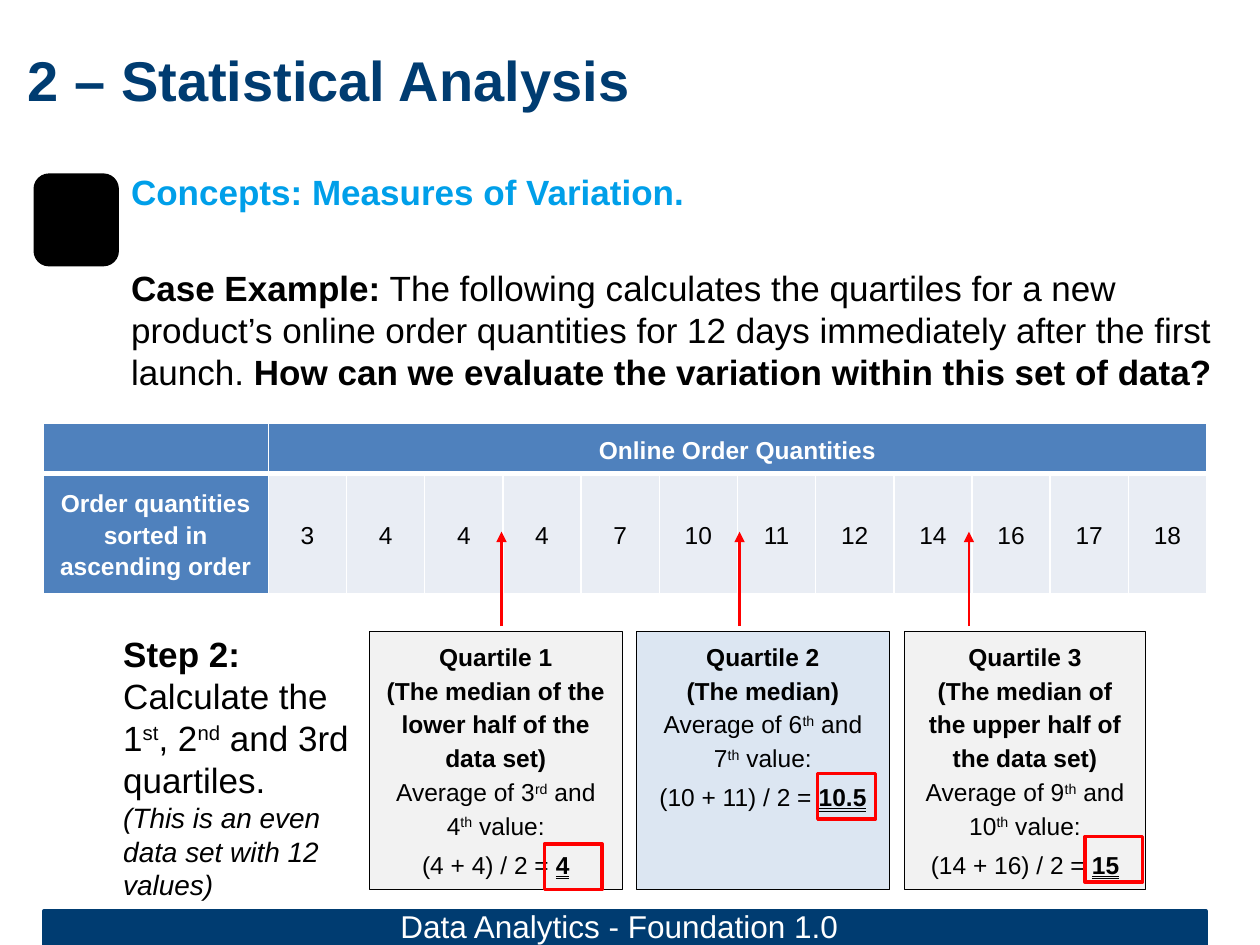
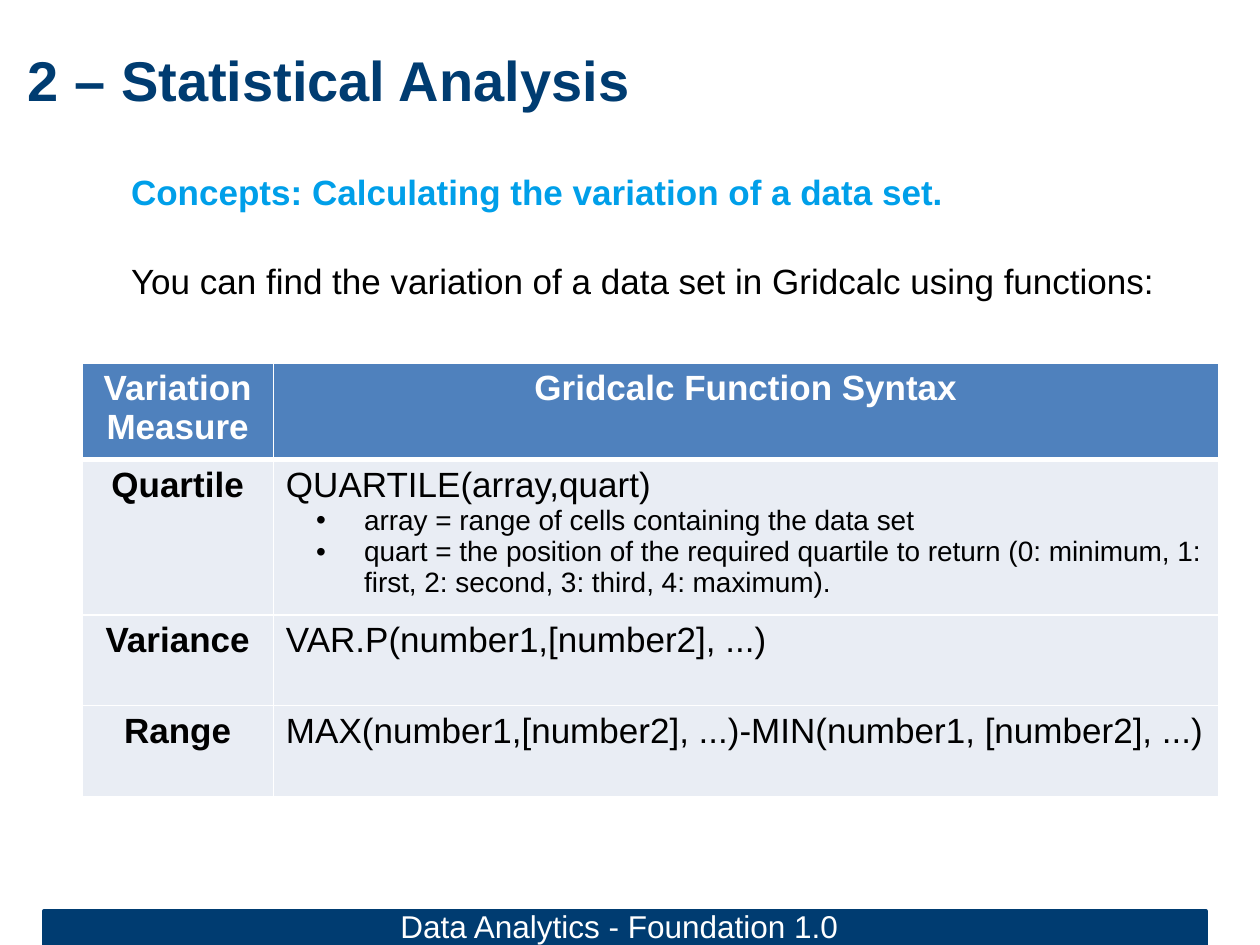
import pptx
import pptx.util
import pptx.dml.color
import pptx.enum.shapes
import pptx.enum.text
import pptx.oxml
import pptx.oxml.ns
from lxml import etree

Inches = pptx.util.Inches
Pt = pptx.util.Pt
qn = pptx.oxml.ns.qn
SHAPE = pptx.enum.shapes.MSO_SHAPE
ALIGN = pptx.enum.text.PP_ALIGN
ANCHOR = pptx.enum.text.MSO_ANCHOR
FIT = pptx.enum.text.MSO_AUTO_SIZE

# Shared look
FONT = "Arial"
NAVY, SKY, BLUE, PALE = "003C71", "009FE9", "4F81BD", "E9EDF4"
BLACK, WHITE, RED = "000000", "FFFFFF", "FF0000"


def rgb(code):
    return pptx.dml.color.RGBColor.from_string(code)


def write(par, parts, size, code=BLACK):
    """Add (text, marks) runs; marks: b bold, i italic, u double underline, ^ raised."""
    for text, marks in parts:
        run = par.add_run()
        run.text = text
        font = run.font
        font.name, font.size = FONT, Pt(size)
        font.color.rgb = rgb(code)
        font.bold, font.italic = "b" in marks, "i" in marks
        if "u" in marks:
            font.underline = pptx.enum.text.MSO_UNDERLINE.DOUBLE_LINE
        if "^" in marks:
            run._r.get_or_add_rPr().set("baseline", "30000")


deck = pptx.Presentation()
deck.slide_width, deck.slide_height = Inches(10), Inches(7.5)

# Title, body and footer of both slides: heading, text, text width, gap
pages = [
    ("Concepts: Measures of Variation.",
     [("Case Example:", "b"),
      (" The following calculates the quartiles for a new product’s online "
       "order quantities for 12 days immediately after the first launch. ", ""),
      ("How can we evaluate the variation within this set of data?", "b")],
     9.02, 31),
    ("Concepts: Calculating the variation of a data set.",
     [("You can find the variation of a data set in Gridcalc using functions:", "")],
     8.72, 27),
]
for head, parts, wide, gap in pages:
    slide = deck.slides.add_slide(deck.slide_layouts[1])

    title = slide.shapes.title
    title.left, title.top = Inches(0), Inches(0)
    title.width, title.height = Inches(9.96), Inches(1.25)
    frame = title.text_frame
    frame.auto_size = FIT.NONE
    frame.margin_left = Inches(0.22)
    frame.vertical_anchor = ANCHOR.MIDDLE
    frame.paragraphs[0].alignment = ALIGN.LEFT
    write(frame.paragraphs[0], [("2 – Statistical Analysis", "b")], 32, NAVY)

    body = slide.placeholders[1]
    body.left, body.top = Inches(0.94), Inches(1.3)
    body.width, body.height = Inches(wide), Inches(5.96)
    frame = body.text_frame
    frame.auto_size = FIT.NONE
    write(frame.paragraphs[0], [(head, "b")], 20, SKY)
    write(frame.add_paragraph(), parts, 20)
    for par, space in zip(frame.paragraphs, (0, gap)):
        par.space_before = Pt(space)
        prop = par._p.get_or_add_pPr()
        prop.set("marL", "0")
        prop.set("indent", "0")
        etree.SubElement(prop, qn("a:buNone"))

    band = slide.shapes.add_shape(SHAPE.RECTANGLE, Inches(0.35), Inches(7.23),
                                  Inches(9.22), Inches(0.27))
    band.shadow.inherit = False
    band.fill.solid()
    band.fill.fore_color.rgb = rgb(NAVY)
    band.line.color.rgb = rgb(NAVY)
    band.line.width = Pt(2)
    foot = slide.shapes.add_textbox(Inches(3.08), Inches(7.15), Inches(3.86), Inches(0.4))
    foot.text_frame.word_wrap = True
    write(foot.text_frame.paragraphs[0], [("Data Analytics - Foundation 1.0", "")], 18, WHITE)

first, second = deck.slides

# Slide 1: icon block
icon = first.shapes.add_shape(SHAPE.ROUNDED_RECTANGLE, Inches(0.28), Inches(1.39),
                              Inches(0.65), Inches(0.71))
icon.shadow.inherit = False
icon.fill.solid()
icon.fill.fore_color.rgb = rgb(BLACK)
icon.line.color.rgb = rgb(BLACK)
icon.line.width = Pt(2)

# Slide 1: step text
step = first.shapes.add_textbox(Inches(0.88), Inches(4.97), Inches(2.16), Inches(2.26))
frame = step.text_frame
frame.word_wrap = True
write(frame.paragraphs[0],
      [("Step 2: ", "b"), ("Calculate the 1", ""), ("st", "^"), (", 2", ""),
       ("nd", "^"), (" and 3rd quartiles.", "")], 20)
write(frame.add_paragraph(), [("(This is an even data set with 12 values)", "i")], 16)

# Slide 1: order table
counts = [3, 4, 4, 4, 7, 10, 11, 12, 14, 16, 17, 18]
orders = first.shapes.add_table(2, len(counts) + 1, Inches(0.34), Inches(3.36),
                                Inches(9.24), Inches(1.29)).table
orders.columns[0].width = Inches(1.79)
for col in list(orders.columns)[1:]:
    col.width = Inches(7.45 / len(counts))
orders.rows[0].height, orders.rows[1].height = Inches(0.34), Inches(0.95)
orders.cell(0, 1).merge(orders.cell(0, len(counts)))
labels = [(0, 1, "Online Order Quantities"),
          (1, 0, "Order quantities sorted in ascending order")]
labels += [(1, spot, str(count)) for spot, count in enumerate(counts, 1)]
for row, col, text in labels:
    cell = orders.cell(row, col)
    cell.vertical_anchor = ANCHOR.MIDDLE
    cell.margin_left = cell.margin_right = Inches(0.07)
    cell.margin_top = cell.margin_bottom = 0
    par = cell.text_frame.paragraphs[0]
    par.alignment, par.line_spacing = ALIGN.CENTER, 1.15
    lead = row == 0 or col == 0
    write(par, [(text, "b" if lead else "")], 14, WHITE if lead else BLACK)

# Slide 1: arrows from the quartiles to the table
for left in (3.98, 5.87, 7.69):
    arrow = first.shapes.add_connector(pptx.enum.shapes.MSO_CONNECTOR.STRAIGHT,
                                       Inches(left), Inches(4.97), Inches(left), Inches(4.22))
    arrow.line.color.rgb = rgb(RED)
    arrow.line.width = Pt(1.5)
    etree.SubElement(arrow.line._get_or_add_ln(), qn("a:tailEnd"), type="triangle")
    etree.SubElement(arrow._element.spPr, qn("a:effectLst"))

# Slide 1: quartile cards: left, width, fill, note, ranks, sum, answer, mark place
cards = [
    (2.93, 2.01, "F2F2F2", "(The median of the lower half of the data set)",
     ("3", "rd", "4"), "(4 + 4) / 2 = ", "4", 4.32, 6.7),
    (5.05, 2.01, "DCE6F2", "(The median)",
     ("6", "th", "7"), "(10 + 11) / 2 = ", "10.5", 6.49, 6.14),
    (7.18, 1.91, "F2F2F2", "(The median of the upper half of the data set)",
     ("9", "th", "10"), "(14 + 16) / 2 = ", "15", 8.61, 6.64),
]
for rank, (left, wide, fill, note, (low, end, high), total, answer, x, y) in enumerate(cards, 1):
    card = first.shapes.add_shape(SHAPE.RECTANGLE, Inches(left), Inches(5.01),
                                  Inches(wide), Inches(2.05))
    card.shadow.inherit = False
    card.fill.solid()
    card.fill.fore_color.rgb = rgb(fill)
    card.line.color.rgb = rgb(BLACK)
    card.line.width = Pt(0.75)
    frame = card.text_frame
    frame.word_wrap = True
    frame.vertical_anchor = ANCHOR.TOP
    lines = [
        ([(f"Quartile {rank}", "b")], 0),
        ([(note, "b")], 0),
        ([(f"Average of {low}", ""), (end, "^"), (f" and {high}", ""),
          ("th", "^"), (" value:", "")], 3),
        ([(total, ""), (answer, "bu")], 3),
    ]
    for spot, (parts, after) in enumerate(lines):
        par = frame.add_paragraph() if spot else frame.paragraphs[0]
        par.alignment, par.line_spacing = ALIGN.CENTER, 1.15
        par.space_after = Pt(after)
        write(par, parts, 14)

    mark = first.shapes.add_shape(SHAPE.RECTANGLE, Inches(x), Inches(y),
                                  Inches(0.46), Inches(0.36))
    mark.shadow.inherit = False
    mark.fill.background()
    mark.line.color.rgb = rgb(RED)
    mark.line.width = Pt(2)

# Slide 2: function table
rows = [
    ("Variation Measure", ["Gridcalc Function Syntax"], 0.72),
    ("Quartile",
     ["QUARTILE(array,quart)",
      "array = range of cells containing the data set",
      "quart = the position of the required quartile to return "
      "(0: minimum, 1: first, 2: second, 3: third, 4: maximum)."], 1.15),
    ("Variance", ["VAR.P(number1,[number2], ...)"], 0.72),
    ("Range", ["MAX(number1,[number2], ...)-MIN(number1, [number2], ...)"], 0.72),
]
syntax = second.shapes.add_table(len(rows), 2, Inches(0.65), Inches(2.88),
                                 Inches(9.02), Inches(3.31)).table
syntax.columns[0].width, syntax.columns[1].width = Inches(1.52), Inches(7.5)
for row, (name, lines, high) in enumerate(rows):
    syntax.rows[row].height = Inches(high)
    code = BLACK if row else WHITE
    par = syntax.cell(row, 0).text_frame.paragraphs[0]
    par.alignment = ALIGN.CENTER
    write(par, [(name, "b")], 20, code)
    frame = syntax.cell(row, 1).text_frame
    for spot, text in enumerate(lines):
        par = frame.add_paragraph() if spot else frame.paragraphs[0]
        par.alignment = ALIGN.LEFT if row else ALIGN.CENTER
        write(par, [(text, "" if row else "b")], 16 if spot else 20, code)
        if spot:
            prop = par._p.get_or_add_pPr()
            prop.set("marL", str(Inches(0.62)))
            prop.set("indent", str(Inches(-0.38)))
            etree.SubElement(prop, qn("a:buFont"), typeface=FONT)
            etree.SubElement(prop, qn("a:buChar"), char="•")

# Both tables: fills and white rules, thick under the header
for table in (orders, syntax):
    table.horz_banding = False
    for row, line in enumerate(table.rows):
        for col, cell in enumerate(line.cells):
            dark = row == 0 or (table is orders and col == 0)
            cell.fill.solid()
            cell.fill.fore_color.rgb = rgb(BLUE if dark else PALE)
            prop = cell._tc.get_or_add_tcPr()
            for spot, side in enumerate("LRTB"):
                thick = (row, side) in ((0, "B"), (1, "T"))
                rule = etree.Element(qn(f"a:ln{side}"), w=str(Pt(3 if thick else 1)))
                paint = etree.SubElement(rule, qn("a:solidFill"))
                etree.SubElement(paint, qn("a:srgbClr"), val=WHITE)
                prop.insert(spot, rule)

deck.save("out.pptx")
